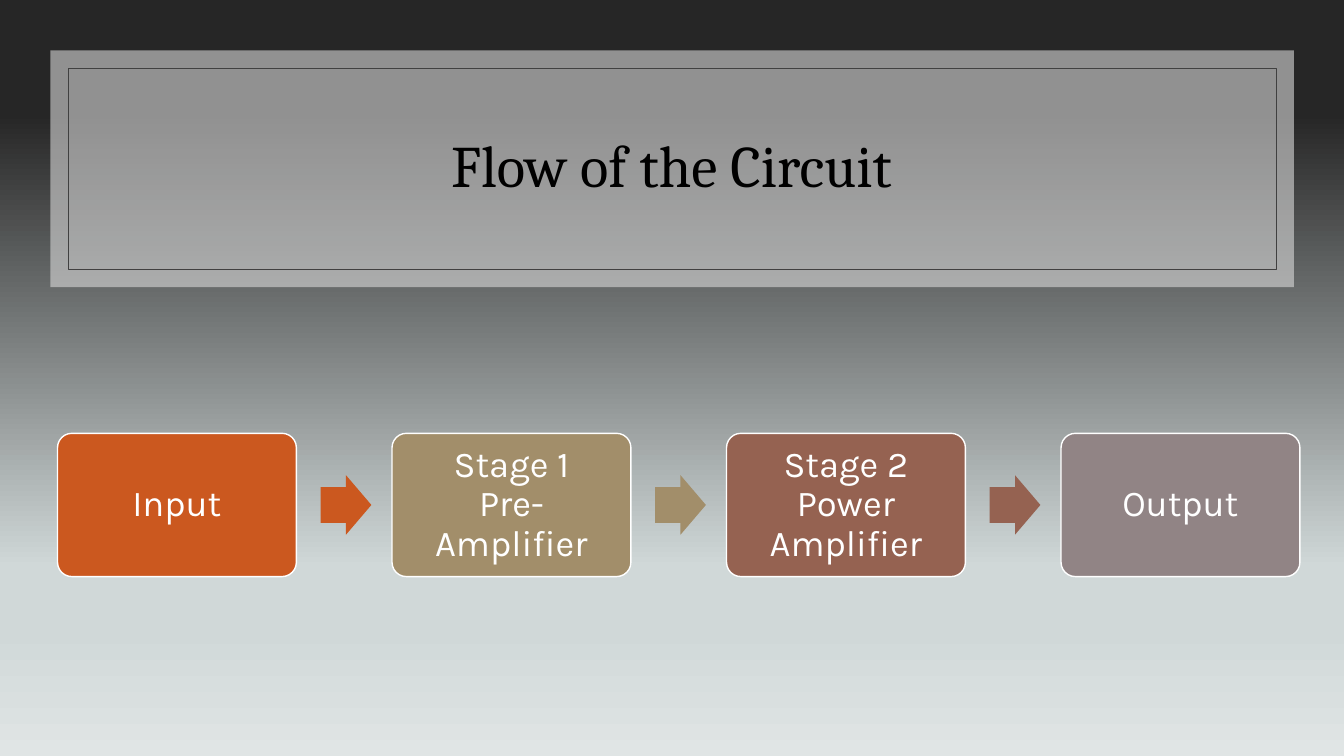
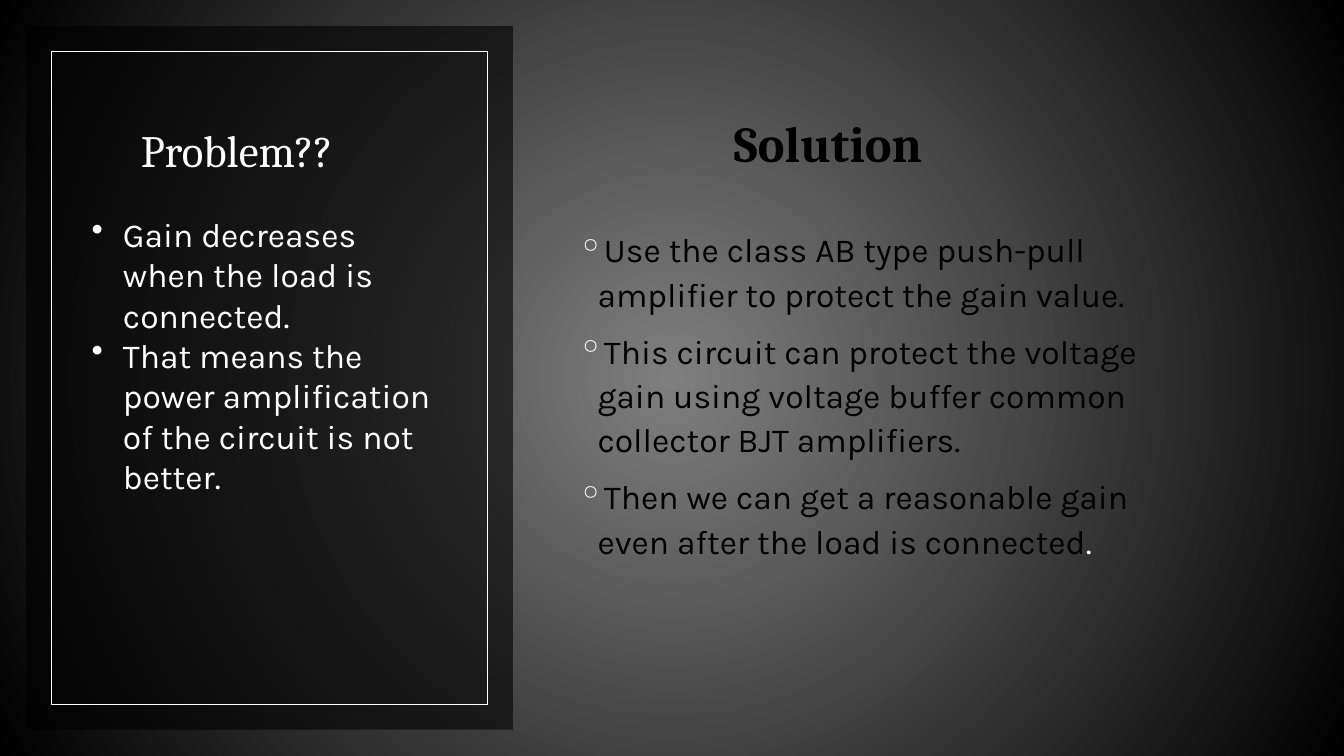
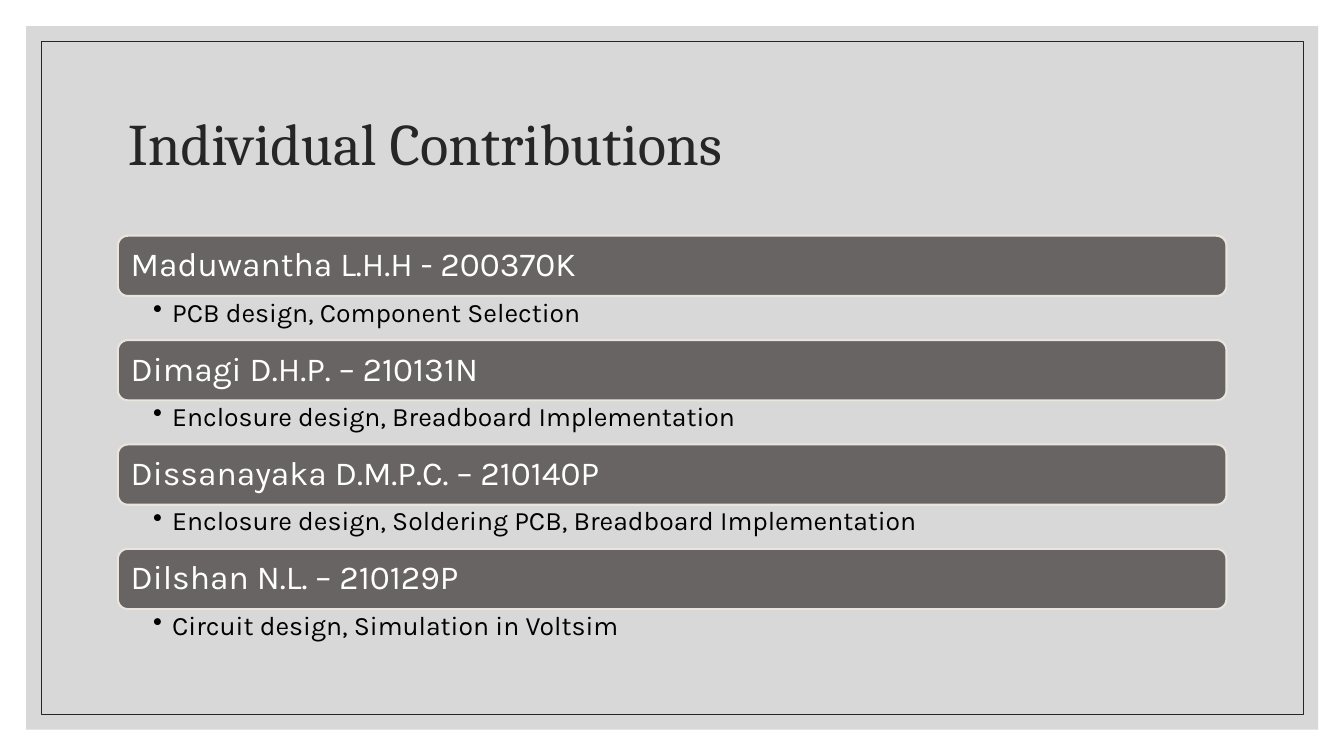
from dataclasses import dataclass

from lxml.etree import SubElement
from pptx import Presentation
from pptx.dml.color import RGBColor
from pptx.enum.shapes import MSO_SHAPE as Preset
from pptx.enum.text import MSO_ANCHOR as Anchor, MSO_AUTO_SIZE as AutoSize, PP_ALIGN as Align
from pptx.oxml.ns import qn
from pptx.util import Cm, Pt


@dataclass(frozen=True)
class Theme:
    heading_font: str = "Cambria"
    body_font: str = "Karla"
    # Type sizes in points
    title: int = 42
    side_title: int = 36
    panel_title: int = 32
    stage: int = 26
    body: int = 24
    duty: int = 19
    # Colours
    black: str = "000000"
    white: str = "FFFFFF"
    ink: str = "262626"
    panel_edge: str = "404040"
    light_panel: str = "D9D9D9"
    grey_panel: str = "BFBFBF"
    bar: str = "696464"
    bar_edge: str = "E9E5DC"
    stages: tuple = ("CB581F", "A28E6A", "956251", "918485")
    mist: tuple = ((15, "262626"), (75, "D0D8D8"), (83, "D0D8D8"), (100, "E0E5E5"))
    spotlight: tuple = ((0, "7F7F7F"), (100, "000000"))


THEME = Theme()


class Deck:
    """Holds the presentation, the style and the current slide."""

    def __init__(self, theme):
        self.theme = theme
        self.prs = Presentation()
        self.prs.slide_width, self.prs.slide_height = Cm(33.87), Cm(19.05)
        self.slide = None

    def new_slide(self):
        self.slide = self.prs.slides.add_slide(self.prs.slide_layouts[5])

    def plain_background(self, color):
        fill = self.slide.background.fill
        fill.solid()
        fill.fore_color.rgb = RGBColor.from_string(color)

    def gradient_background(self, stops, radial=False):
        self.plain_background(stops[0][1])
        properties = self.slide.element.find(".//" + qn("p:bgPr"))
        properties.remove(properties.find(qn("a:solidFill")))
        gradient = SubElement(properties, qn("a:gradFill"), rotWithShape="1")
        properties.insert(0, gradient)
        stop_list = SubElement(gradient, qn("a:gsLst"))
        for percent, color in stops:
            stop = SubElement(stop_list, qn("a:gs"), pos=str(percent * 1000))
            SubElement(stop, qn("a:srgbClr"), val=color)
        if radial:
            circle = SubElement(gradient, qn("a:path"))
            circle.set("path", "circle")
            SubElement(circle, qn("a:fillToRect"), l="50000", t="50000", r="50000", b="50000")
        else:
            SubElement(gradient, qn("a:lin"), ang="5400000", scaled="0")

    def block(self, preset, area, fill=None, edge=None, weight=1.0, opacity=100, adjust=()):
        shape = self.slide.shapes.add_shape(preset, *map(Cm, area))
        shape.shadow.inherit = False
        for index, value in enumerate(adjust):
            shape.adjustments[index] = value
        if fill:
            shape.fill.solid()
            shape.fill.fore_color.rgb = RGBColor.from_string(fill)
            if opacity < 100:
                color = shape.element.find(".//" + qn("a:srgbClr"))
                SubElement(color, qn("a:alpha"), val=str(opacity * 1000))
        else:
            shape.fill.background()
        if edge:
            shape.line.color.rgb = RGBColor.from_string(edge)
            shape.line.width = Pt(weight)
        else:
            shape.line.fill.background()
        return shape

    def framed_panel(self, area, inset, fill, edge):
        """Translucent panel with a thin outline inside it."""
        left, top, width, height = area
        self.block(Preset.RECTANGLE, area, fill, opacity=60)
        self.block(Preset.RECTANGLE,
                   (left + inset, top + inset, width - 2 * inset, height - 2 * inset),
                   edge=edge, weight=0.5)

    def set_text(self, shape, texts, size, color, font=None, bold=False, align=Align.LEFT,
                 anchor=Anchor.MIDDLE, insets=(0.25, 0.13, 0.25, 0.13), spacing=0.9,
                 before=0, bullet=None, indent=0):
        frame = shape.text_frame
        frame.word_wrap = True
        frame.auto_size = AutoSize.NONE
        frame.vertical_anchor = anchor
        (frame.margin_left, frame.margin_top,
         frame.margin_right, frame.margin_bottom) = map(Cm, insets)
        for index, text in enumerate(texts):
            paragraph = frame.add_paragraph() if index else frame.paragraphs[0]
            paragraph.text = text
            if bullet:
                self.add_bullet(paragraph, bullet, indent)
            paragraph.alignment = align
            paragraph.line_spacing = spacing
            paragraph.space_before = Pt(before if index else 0)
            paragraph.font.name = font or self.theme.body_font
            paragraph.font.size = Pt(size)
            paragraph.font.bold = bold
            paragraph.font.color.rgb = RGBColor.from_string(color)
        return frame

    def add_bullet(self, paragraph, bullet, indent):
        mark, color = bullet
        properties = paragraph._p.get_or_add_pPr()
        properties.set("marL", str(Cm(indent)))
        properties.set("indent", str(-Cm(indent)))
        bullet_color = SubElement(properties, qn("a:buClr"))
        SubElement(bullet_color, qn("a:srgbClr"), val=color)
        SubElement(properties, qn("a:buChar"), char=mark)

    def title(self, text, area, size, color, **style):
        title = self.slide.shapes.title
        title.left, title.top, title.width, title.height = map(Cm, area)
        # Bring the title in front of the panel
        title.element.getparent().append(title.element)
        self.set_text(title, [text], size, color, font=self.theme.heading_font, **style)

    def text(self, texts, area, size, color, **style):
        box = self.slide.shapes.add_textbox(*map(Cm, area))
        return self.set_text(box, texts, size, color, **style)


def circuit_flow(deck):
    theme = deck.theme
    deck.new_slide()
    deck.gradient_background(theme.mist)
    deck.framed_panel((1.27, 1.27, 31.34, 5.97), 0.45, theme.light_panel, theme.panel_edge)
    deck.title("Flow of the Circuit", (2.95, 2.34, 27.94, 3.81), theme.title, theme.black,
               align=Align.CENTER)

    # Stages, each followed by an arrow except the last
    left, top, width, height, pitch = 1.45, 10.92, 6.02, 3.61, 8.43
    arrow_width, arrow_height, arrow_gap = 1.28, 1.5, 0.61
    stages = ("Input", "Stage 1\vPre-Amplifier", "Stage 2\vPower Amplifier", "Output")
    for index, (stage, color) in enumerate(zip(stages, theme.stages)):
        x = left + index * pitch
        box = deck.block(Preset.ROUNDED_RECTANGLE, (x, top, width, height), color,
                         theme.white, adjust=(0.1,))
        deck.set_text(box, [stage], theme.stage, theme.white, align=Align.CENTER,
                      insets=(0.28,) * 4)
        if index < len(stages) - 1:
            deck.block(Preset.RIGHT_ARROW,
                       (x + width + arrow_gap, top + (height - arrow_height) / 2,
                        arrow_width, arrow_height), color, adjust=(0.6, 0.5))


def problem_and_solution(deck):
    theme = deck.theme
    deck.new_slide()
    deck.gradient_background(theme.spotlight, radial=True)
    deck.framed_panel((0.66, 0.66, 12.27, 17.73), 0.64, theme.black, theme.white)

    # Solution
    deck.title("Solution", (16.94, 2.97, 7.85, 2.74), theme.side_title, theme.black,
               bold=True, align=Align.CENTER, anchor=Anchor.TOP, insets=(0.25, 0.03, 0.25, 0))
    solution = deck.text(
        ["Use the class AB type push-pull amplifier to protect the gain value.",
         "This circuit can protect the voltage gain using voltage buffer common "
         "collector BJT amplifiers.",
         "Then we can get a reasonable gain even after the load is connected"],
        (14.3, 4.04, 15.7, 11.73), theme.body, theme.black, spacing=1.1, before=9,
        bullet=("◦", theme.white), indent=0.51)
    full_stop = solution.paragraphs[-1].add_run()
    full_stop.text = "."
    full_stop.font.color.rgb = RGBColor.from_string(theme.white)

    # Problem
    deck.text(["Problem??"], (3.3, 1.65, 6.43, 2.95), theme.panel_title, theme.white,
              font=theme.heading_font, anchor=Anchor.BOTTOM)
    deck.text(["Gain decreases when the load is connected.",
               "That means the power amplification of the circuit is not better."],
              (2.06, 5.26, 9.04, 7.44), theme.body, theme.white, anchor=Anchor.TOP,
              spacing=1.0, bullet=("•", theme.white), indent=0.79)


def contributions(deck):
    theme = deck.theme
    deck.new_slide()
    deck.plain_background(theme.white)
    deck.framed_panel((0.66, 0.66, 32.56, 17.73), 0.38, theme.grey_panel, theme.ink)
    deck.title("Individual Contributions", (2.97, 1.78, 27.94, 3.81), theme.title, theme.ink)

    # One bar per member with the duties below it
    left, top, width, bar_height, duty_height, pitch = 2.97, 5.94, 27.94, 1.52, 1.09, 2.63
    members = (
        ("Maduwantha L.H.H - 200370K", "PCB design, Component Selection"),
        ("Dimagi D.H.P. – 210131N", "Enclosure design, Breadboard Implementation"),
        ("Dissanayaka D.M.P.C. – 210140P",
         "Enclosure design, Soldering PCB, Breadboard Implementation"),
        ("Dilshan N.L. – 210129P", "Circuit design, Simulation in Voltsim"),
    )
    for index, (member, duties) in enumerate(members):
        y = top + index * pitch
        bar = deck.block(Preset.ROUNDED_RECTANGLE, (left, y, width, bar_height),
                         theme.bar, theme.bar_edge, 1.5)
        deck.set_text(bar, [member], theme.body, theme.white, insets=(0.25,) * 4)
        deck.text([duties], (left, y + bar_height, width, duty_height), theme.duty,
                  theme.black, anchor=Anchor.TOP, insets=(0.89, 0.08, 0.48, 0.08),
                  bullet=("•", theme.black), indent=0.48)


def main():
    deck = Deck(THEME)
    circuit_flow(deck)
    problem_and_solution(deck)
    contributions(deck)
    deck.prs.save("out.pptx")


if __name__ == "__main__":
    main()
